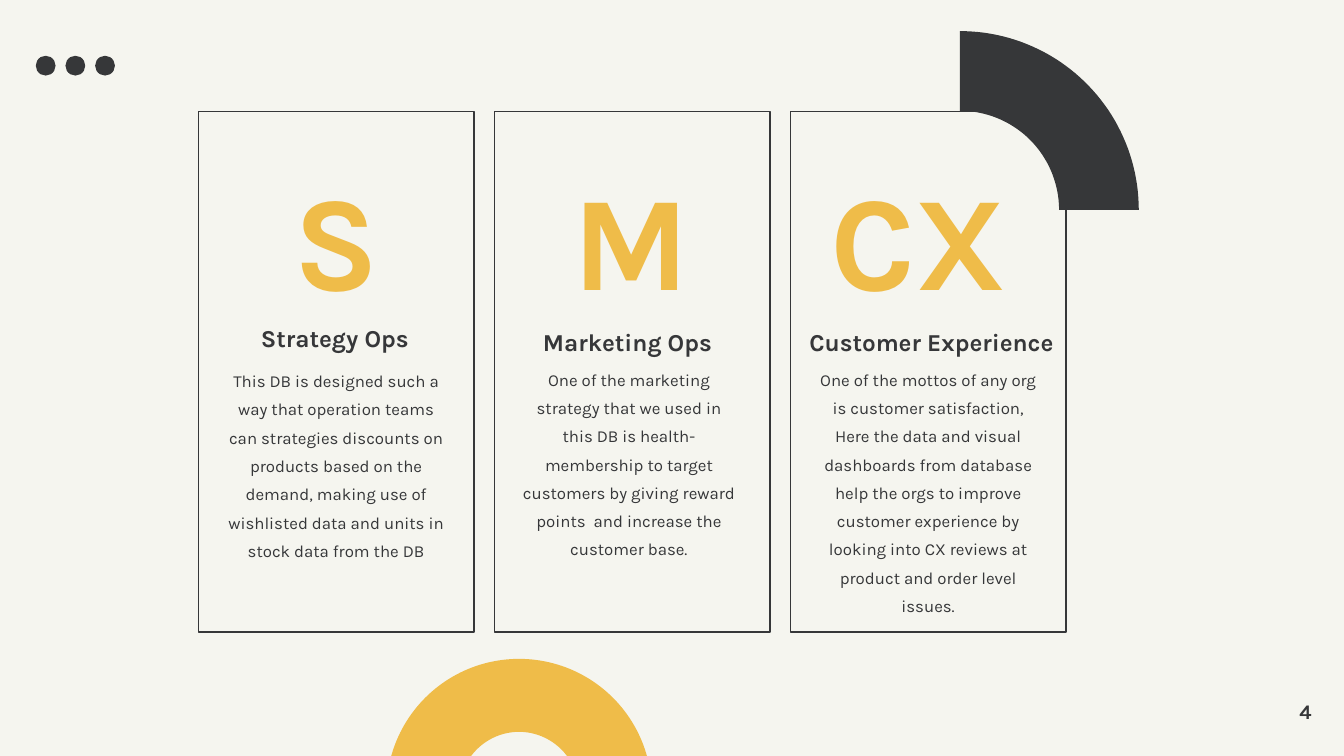
import math
from dataclasses import dataclass

import pptx
import pptx.dml.color
import pptx.enum.shapes
import pptx.enum.text
import pptx.util

Pt = pptx.util.Pt
Shape = pptx.enum.shapes.MSO_SHAPE
Align = pptx.enum.text.PP_ALIGN
Anchor = pptx.enum.text.MSO_ANCHOR
AutoSize = pptx.enum.text.MSO_AUTO_SIZE


@dataclass(frozen=True)
class Theme:
    background: str = "F5F5EF"
    dark: str = "363739"
    accent: str = "EFBC49"
    font: str = "Karla"
    initial_size: float = 72
    heading_size: float = 13
    body_size: float = 9
    number_size: float = 11


def rgb(value):
    return pptx.dml.color.RGBColor.from_string(value)


def write_text(frame, text, *, theme, size, color, bold=False,
               align=Align.CENTER, line_spacing=None):
    paragraph = frame.paragraphs[0]
    paragraph.alignment = align
    if line_spacing:
        paragraph.line_spacing = line_spacing
    run = paragraph.add_run()
    run.text = text
    run.font.name = theme.font
    run.font.size = Pt(size)
    run.font.bold = bold
    run.font.color.rgb = rgb(color)


class SlideBuilder:
    def __init__(self, slide, theme):
        self.slide = slide
        self.theme = theme
        slide.background.fill.solid()
        slide.background.fill.fore_color.rgb = rgb(theme.background)

    def paint(self, shape, color):
        shape.shadow.inherit = False
        shape.fill.solid()
        shape.fill.fore_color.rgb = rgb(color)
        shape.line.fill.background()

    def solid(self, kind, left, top, size, color):
        """Add a filled preset shape with equal width and height."""
        shape = self.slide.shapes.add_shape(
            kind, Pt(left), Pt(top), Pt(size), Pt(size))
        self.paint(shape, color)
        return shape

    def frame(self, left, top, width, height):
        shape = self.slide.shapes.add_shape(
            Shape.RECTANGLE, Pt(left), Pt(top), Pt(width), Pt(height))
        shape.shadow.inherit = False
        shape.fill.background()
        shape.line.color.rgb = rgb(self.theme.dark)
        shape.line.width = Pt(0.8)

    def quarter_ring(self, center_x, center_y, outer, inner, color):
        """Add the upper right quarter of a ring."""
        def arc(radius, angles):
            return [(Pt(center_x + radius * math.sin(math.radians(angle))),
                     Pt(center_y - radius * math.cos(math.radians(angle))))
                    for angle in angles]

        points = arc(outer, range(0, 91, 2)) + arc(inner, range(90, -1, -2))
        builder = self.slide.shapes.build_freeform(*points[0])
        builder.add_line_segments(points[1:], close=True)
        self.paint(builder.convert_to_shape(), color)

    def text(self, text, left, top, width, height, *, anchor=Anchor.TOP,
             auto_size=AutoSize.SHAPE_TO_FIT_TEXT, **text_format):
        box = self.slide.shapes.add_textbox(
            Pt(left), Pt(top), Pt(width), Pt(height))
        frame = box.text_frame
        frame.margin_left = frame.margin_right = 0
        frame.margin_top = frame.margin_bottom = 0
        frame.word_wrap = True
        frame.auto_size = auto_size
        frame.vertical_anchor = anchor
        write_text(frame, text, theme=self.theme, **text_format)


# Each text box is (left, top, width, height)
CARDS = [
    ("S", (122.4, 61.9, 116, 108.7),
     "Strategy Ops", (121, 169.9, 116.6, 18.7),
     "This DB is designed such a way that operation teams can "
     "strategies discounts on products based on the demand, making use of "
     "wishlisted data and units in stock data from the DB",
     (121.7, 194.4, 116.6, 106.6)),
    ("M", (280, 61.9, 116.6, 108.7),
     "Marketing Ops ", (279.4, 172.1, 116.6, 18.7),
     "One of the marketing strategy that we used in this DB is "
     "health-membership to target customers by giving reward points "
     " and increase the customer base.",
     (278.6, 193.7, 116.6, 91.4)),
    ("CX", (434.2, 61.9, 116.6, 108.7),
     "Customer Experience", (433.4, 172.1, 131, 18.7),
     "One of the mottos of any org is customer satisfaction, "
     "Here the data and visual dashboards from database help the orgs to "
     "improve customer experience by looking into CX reviews at product "
     "and order level issues.",
     (439.2, 193.7, 116, 137.5)),
]


def main():
    theme = Theme()
    presentation = pptx.Presentation()
    presentation.slide_width = Pt(720)
    presentation.slide_height = Pt(405)
    slide = presentation.slides.add_slide(presentation.slide_layouts[6])
    builder = SlideBuilder(slide, theme)

    ring = builder.solid(Shape.DONUT, 207, 353, 142.2, theme.accent)
    ring.adjustments[0] = 0.275

    for index, (initial, initial_box, heading, heading_box,
                body, body_box) in enumerate(CARDS):
        builder.frame(106.3 + index * 158.6, 59.7, 147.6, 279)
        builder.text(initial, *initial_box, size=theme.initial_size,
                     color=theme.accent, bold=True, line_spacing=1.25)
        builder.text(heading, *heading_box, size=theme.heading_size,
                     color=theme.dark, bold=True, line_spacing=1.2)
        builder.text(body, *body_box, size=theme.body_size,
                     color=theme.dark, line_spacing=1.4)

    builder.quarter_ring(514.3, 112.5, 95.8, 53.1, theme.dark)
    for index in range(3):
        builder.solid(Shape.OVAL, 19.2 + index * 15.9, 29.9, 10.6, theme.dark)

    builder.text("4", 659.5, 373.7, 43.2, 14.4, anchor=Anchor.MIDDLE,
                 auto_size=AutoSize.NONE, size=theme.number_size,
                 color=theme.dark, bold=True, align=Align.RIGHT)
    presentation.save("out.pptx")


if __name__ == "__main__":
    main()
